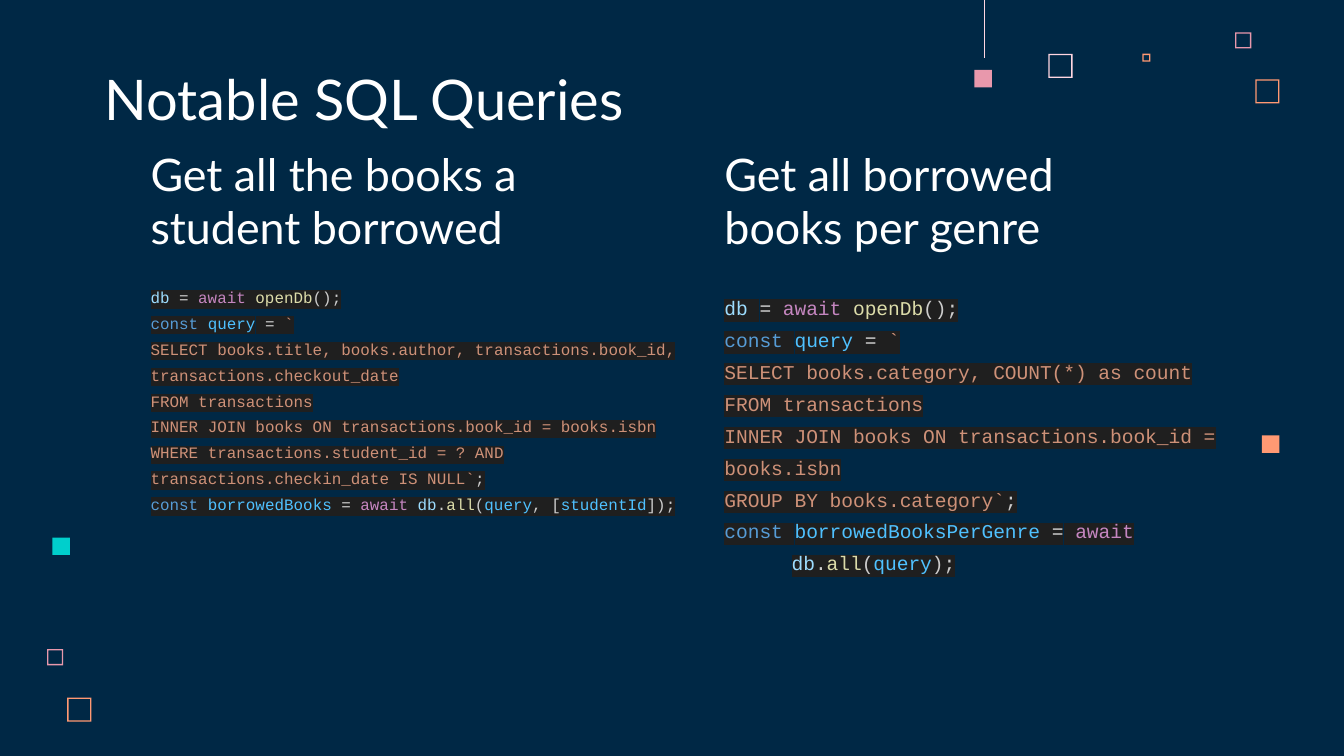
from lxml import etree
from pptx import Presentation
from pptx.dml.color import RGBColor
from pptx.enum.shapes import MSO_CONNECTOR, MSO_SHAPE
from pptx.enum.text import MSO_ANCHOR, MSO_AUTO_SIZE, PP_ALIGN
from pptx.oxml.ns import qn
from pptx.util import Inches, Pt

FRAME, SQUARE = MSO_SHAPE.FRAME, MSO_SHAPE.RECTANGLE
STRAIGHT = MSO_CONNECTOR.STRAIGHT
TOP, BOTTOM = MSO_ANCHOR.TOP, MSO_ANCHOR.BOTTOM
LEFT = PP_ALIGN.LEFT
NO_AUTOFIT = MSO_AUTO_SIZE.NONE

COMPARISON_LAYOUT = 4
TEXT_FONT, CODE_FONT = "Lato", "Courier New"
BORDER = 0.01

COLORS = {
    "background": "002845", "heading": "FFFFFF",
    "pale": "FFD6E1", "pink": "E898AC", "orange": "FF9973", "teal": "00CFCC",
    "highlight": "1F1F1F", "variable": "9CDCFE", "plain": "CCCCCC",
    "operator": "D4D4D4", "await": "C586C0", "function": "DCDCAA",
    "keyword": "569CD6", "constant": "4FC1FF", "string": "CE9178",
}

# Code: a line is a list of (text, token kind)
ASSIGN = [(" ", "plain"), ("=", "operator"), (" ", "plain")]
AWAIT = ("await", "await")
END = (";", "plain")
DB_ALL = [("db", "variable"), (".", "plain"), ("all", "function"),
          ("(", "plain"), ("query", "constant")]
OPENING = [
    [("db", "variable"), *ASSIGN, AWAIT, (" ", "plain"),
     ("openDb", "function"), ("();", "plain")],
    [("const", "keyword"), (" ", "plain"), ("query", "constant"), *ASSIGN,
     ("`", "string")],
]
FROM_LINE = [("FROM transactions", "string")]
JOIN_LINE = [("INNER JOIN books ON transactions.book_id = books.isbn", "string")]

STUDENT_CODE = OPENING + [
    [("SELECT books.title, books.author, transactions.book_id, "
      "transactions.checkout_date", "string")],
    FROM_LINE,
    JOIN_LINE,
    [("WHERE transactions.student_id = ? AND "
      "transactions.checkin_date IS NULL`", "string"), END],
    [("const", "keyword"), (" ", "plain"), ("borrowedBooks", "constant"),
     *ASSIGN, AWAIT, (" ", "plain"), *DB_ALL, (", [", "plain"),
     ("studentId", "constant"), ("]);", "plain")],
]
GENRE_CODE = OPENING + [
    [("SELECT books.category, COUNT(*) as count", "string")],
    FROM_LINE,
    JOIN_LINE,
    [("GROUP BY books.category`", "string"), END],
    [("const", "keyword"), (" ", "plain"),
     ("borrowedBooksPerGenre", "constant"), *ASSIGN, AWAIT],
    [*DB_ALL, (");", "plain")],
]

# Decorations: preset, left, top, size, colour
DECORATIONS = [
    (FRAME, 7.8, 0.4, 0.18, "pale"),
    (FRAME, 9.19, 0.24, 0.12, "pink"),
    (FRAME, 8.5, 0.4, 0.06, "orange"),
    (FRAME, 9.34, 0.59, 0.18, "orange"),
    (SQUARE, 7.25, 0.52, 0.13, "pink"),
    (FRAME, 0.35, 4.83, 0.12, "pink"),
    (FRAME, 0.5, 5.19, 0.18, "orange"),
    (SQUARE, 0.39, 4, 0.13, "teal"),
    (SQUARE, 9.39, 3.24, 0.13, "orange"),
]


def color(name):
    return RGBColor.from_string(COLORS[name])


def place(box, left, top, width, height, anchor):
    box.left, box.top = Inches(left), Inches(top)
    box.width, box.height = Inches(width), Inches(height)
    frame = box.text_frame
    frame.word_wrap = True
    frame.auto_size = NO_AUTOFIT
    frame.vertical_anchor = anchor
    frame.margin_left = frame.margin_right = Inches(0.1)
    frame.margin_top = frame.margin_bottom = Inches(0.1)
    return frame


def format_para(para, line_spacing, indent=0):
    para.alignment = LEFT
    para.space_before = para.space_after = Pt(0)
    para.line_spacing = line_spacing
    properties = para._p.get_or_add_pPr()
    properties.set("marL", "0")
    properties.set("indent", str(Inches(indent)))
    etree.SubElement(properties, qn("a:buNone"))


def format_span(span, font, size, color_name):
    span.font.name = font
    span.font.size = Pt(size)
    span.font.bold = False
    span.font.color.rgb = color(color_name)


def highlight(span):
    mark = etree.Element(qn("a:highlight"))
    etree.SubElement(mark, qn("a:srgbClr"), val=COLORS["highlight"])
    span.font._element.find(qn("a:solidFill")).addnext(mark)


def fill_heading(box, text, size, position):
    frame = place(box, *position, BOTTOM)
    frame.text = text
    para = frame.paragraphs[0]
    format_para(para, 1.0)
    format_span(para.runs[0], TEXT_FONT, size, "heading")


def fill_code(box, lines, size, position, last_indent=0):
    frame = place(box, *position, TOP)
    for number, line in enumerate(lines):
        para = frame.add_paragraph() if number else frame.paragraphs[0]
        format_para(para, 1.36, last_indent if line is lines[-1] else 0)
        for text, kind in line:
            span = para.add_run()
            span.text = text
            format_span(span, CODE_FONT, size, kind)
            highlight(span)


def add_decoration(page, preset, left, top, size, color_name):
    shape = page.shapes.add_shape(preset, Inches(left), Inches(top),
                                  Inches(size), Inches(size))
    if preset == FRAME:
        shape.adjustments[0] = BORDER / size
    shape.shadow.inherit = False
    shape.fill.solid()
    shape.fill.fore_color.rgb = color(color_name)
    shape.line.fill.background()


def add_thread(page, x, bottom):
    thread = page.shapes.add_connector(STRAIGHT, Inches(x), 0,
                                       Inches(x), Inches(bottom))
    thread.line.color.rgb = color("pale")
    thread.line.width = Pt(0.25)
    etree.SubElement(thread._element.spPr, qn("a:effectLst"))


def main():
    deck = Presentation()
    deck.slide_width = Inches(10)
    deck.slide_height = Inches(10 * 9 / 16)
    page = deck.slides.add_slide(deck.slide_layouts[COMPARISON_LAYOUT])
    page.background.fill.solid()
    page.background.fill.fore_color.rgb = color("background")

    # Decorations
    for decoration in DECORATIONS:
        add_decoration(page, *decoration)
    add_thread(page, 7.32, 0.43)

    # Title and the two queries
    title, left_head, left_code, right_head, right_code = page.placeholders
    fill_heading(title, "Notable SQL Queries", 30, (0.68, 0.45, 6.73, 0.63))
    fill_heading(left_head, "Get all the books a student borrowed", 24,
                 (1.02, 1.36, 4.05, 0.63))
    fill_code(left_code, STUDENT_CODE, 8.5, (1.02, 1.99, 4.38, 2.04))
    fill_heading(right_head, "Get all borrowed books per genre", 24,
                 (5.29, 1.36, 3.32, 0.63))
    fill_code(right_code, GENRE_CODE, 10.5, (5.29, 2.04, 4.38, 2.66), 0.5)

    deck.save("out.pptx")


if __name__ == "__main__":
    main()
